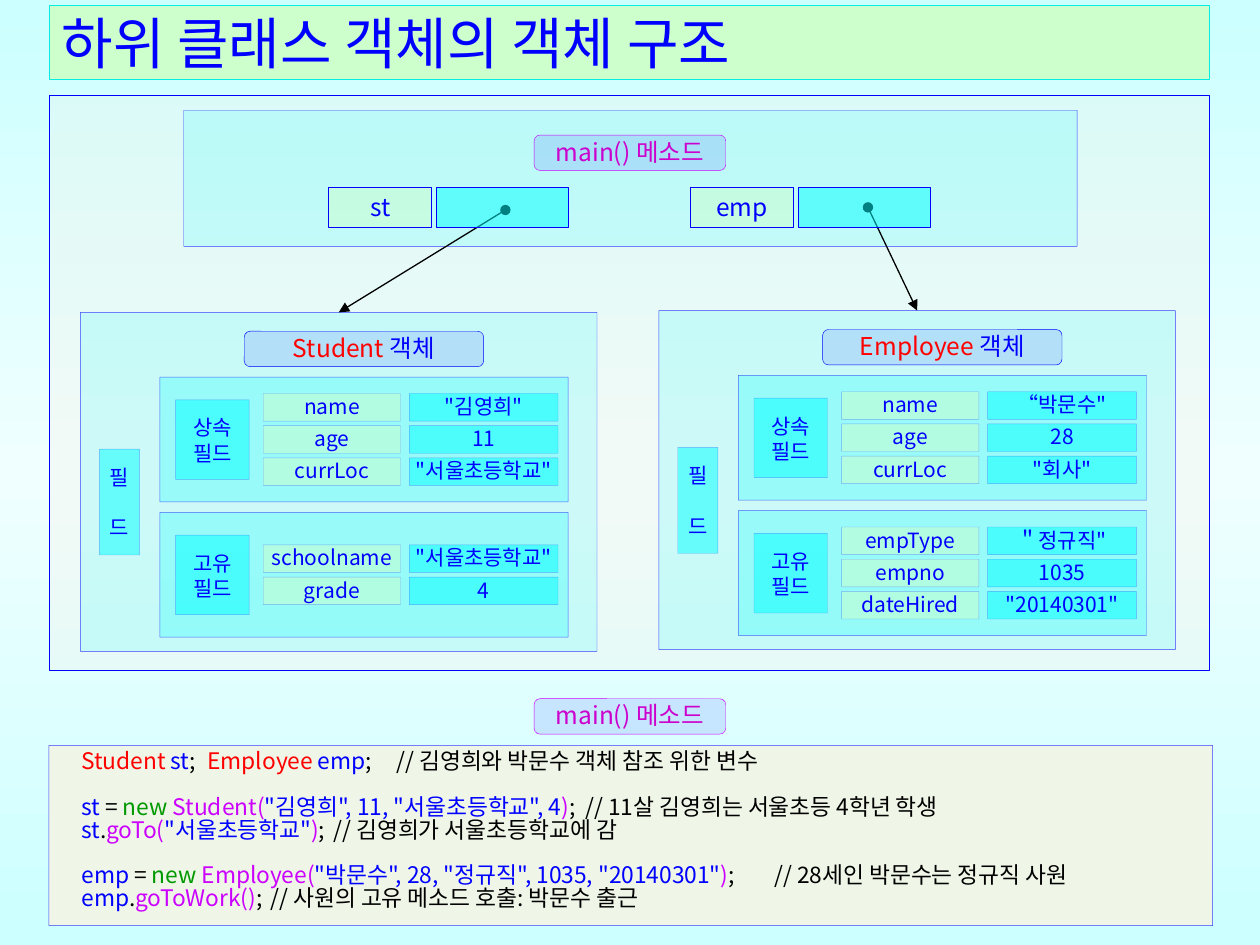
from copy import deepcopy

from lxml import etree
from pptx import Presentation
from pptx import util as u
from pptx.dml.color import RGBColor
from pptx.enum import shapes, text
from pptx.oxml.ns import qn

Pt = u.Pt
FONT = "Noto Sans CJK KR"
COLORS = {
    "blue": "0000FF", "red": "FF0000", "black": "000000", "green": "009900",
    "purple": "CC00FF", "magenta": "CC00CC", "cyan": "00FFFF", "mint": "CCFFCC",
    "peach": "FDEADA", "code": "EFF6E7", "aqua": "03EDE2",
    "sky": "CCFFFF", "pale": "F0FFFF",
}


def rgb(name):
    """Return the named colour."""
    return RGBColor.from_string(COLORS[name])


def set_opacity(parent, percent):
    """Make the solid colour under an element partly transparent."""
    color = parent.find(qn("a:solidFill"))[0]
    etree.SubElement(color, qn("a:alpha"), val=str(percent * 1000))


def style_paragraph(paragraph, size, color=None, align=text.PP_ALIGN.CENTER):
    """Set the font and alignment of a whole paragraph."""
    paragraph.alignment = align
    paragraph.font.size = Pt(size)
    paragraph.font.name = FONT
    if color:
        paragraph.font.color.rgb = rgb(color)
    defaults = paragraph._p.pPr.find(qn("a:defRPr"))
    defaults.find(qn("a:latin")).addnext(
        etree.Element(qn("a:ea"), typeface=FONT))


def add_runs(paragraph, runs):
    """Add coloured runs given as pairs of text and colour name."""
    for words, color in runs:
        run = paragraph.add_run()
        run.text = words
        run.font.color.rgb = rgb(color)


def add_box(slide, box, fill, opacity=100, line="blue", width=0.25,
            line_opacity=100, rounded=False):
    """Add a filled and outlined rectangle."""
    kind = shapes.MSO_SHAPE.ROUNDED_RECTANGLE if rounded else shapes.MSO_SHAPE.RECTANGLE
    shape = slide.shapes.add_shape(kind, *map(Pt, box))
    shape.shadow.inherit = False
    shape.fill.solid()
    shape.fill.fore_color.rgb = rgb(fill)
    set_opacity(shape._element.spPr, opacity)
    shape.line.color.rgb = rgb(line)
    shape.line.width = Pt(width)
    set_opacity(shape._element.spPr.find(qn("a:ln")), line_opacity)
    return shape


def set_frame(shape, left, top, right, bottom, wrap=False):
    """Set insets, top anchor and wrapping, and return the text frame."""
    frame = shape.text_frame
    frame.margin_left, frame.margin_top = Pt(left), Pt(top)
    frame.margin_right, frame.margin_bottom = Pt(right), Pt(bottom)
    frame.vertical_anchor = text.MSO_ANCHOR.TOP
    frame.word_wrap = wrap
    return frame


def add_cell(slide, box, lines, fill, top=0, size=12, gap=0, **style):
    """Add a half-transparent cell with centred lines of text."""
    style = {"line_opacity": 30, **style}
    shape = add_box(slide, box, fill, 50, **style)
    frame = set_frame(shape, 0, top, 0, 0)
    frame.text = "\n".join(lines)
    for index, paragraph in enumerate(frame.paragraphs):
        style_paragraph(paragraph, size, "blue")
        if index and gap:
            paragraph.space_before = Pt(gap)


def add_tag(slide, box, runs, line="blue"):
    """Add a rounded heading tag."""
    shape = add_box(slide, box, "blue", 10, line, rounded=True)
    paragraph = set_frame(shape, 7.2, 0, 7.2, 3.6).paragraphs[0]
    style_paragraph(paragraph, 14)
    add_runs(paragraph, runs)


def add_main_tag(slide, left, top):
    """Add the tag that names the main method."""
    add_tag(slide, (left, top, 109.5, 20.2), [("main() 메소드", "magenta")], "purple")


def add_field_group(slide, left, top, label, fields):
    """Add one group of fields with its rows centred in height."""
    height, row_height, pitch = 71.3, 15.8, 18.4
    add_box(slide, (left, top, 233.3, height), "cyan", 25, line_opacity=60)
    add_cell(slide, (left + 9, top + 13, 42, 45.5), (label, "필드"), "cyan", top=8.6)
    first = top + (height - row_height - pitch * (len(fields) - 1)) / 2
    for index, (key, value) in enumerate(fields):
        row = first + index * pitch
        add_cell(slide, (left + 59, row, 78.5, row_height), [key], "mint")
        add_cell(slide, (left + 142.5, row, 85, row_height), [value], "cyan")


def add_object(slide, left, top, name, inherited, own):
    """Add an object panel with inherited and own fields."""
    panel = add_box(slide, (left, top, 295.2, 193.7), "cyan", 15, line_opacity=75)
    add_field_group(slide, left + 45.4, top + 37, "상속", inherited)
    add_field_group(slide, left + 45.4, top + 114.3, "고유", own)
    add_tag(slide, (left + 93.6, top + 10.8, 136.8, 20.2),
            [(name + " ", "red"), ("객체", "blue")])
    add_cell(slide, (left + 10.8, top + 78.2, 23, 60.5), ("필", "드"), "cyan",
             top=8.6, gap=14.5)
    return panel


def add_reference(slide, start, panel):
    """Add an arrow from a variable to the top of an object panel."""
    arrow = slide.shapes.add_connector(
        shapes.MSO_CONNECTOR.STRAIGHT, *map(Pt, start), 0, 0)
    arrow.end_connect(panel, 0)
    arrow.line.color.rgb = rgb("black")
    arrow.line.width = Pt(0.75)
    line = arrow.line._get_or_add_ln()
    etree.SubElement(line, qn("a:headEnd"), type="oval")
    etree.SubElement(line, qn("a:tailEnd"), type="triangle")
    etree.SubElement(arrow._element.spPr, qn("a:effectLst"))


def add_main_method(slide, left, top, variables):
    """Add the main panel and its variables, each pointing at an object."""
    add_box(slide, (left, top, 510.5, 77.8), "cyan", 15, line_opacity=75)
    add_main_tag(slide, left + 200.2, top + 14.2)
    row = top + 44
    for name, offset, start, panel in variables:
        add_reference(slide, (left + offset + start[0], row + start[1]), panel)
        for x, width, words, fill in ((0, 59, name, "mint"), (61.5, 75.6, "", "cyan")):
            add_cell(slide, (left + offset + x, row, width, 23), [words], fill,
                     top=2.9, size=14, width=0.5, line_opacity=100)


def add_code(slide, box, lines):
    """Add the code panel, with tab stops ahead of the comments."""
    shape = add_box(slide, box, "code", line_opacity=75)
    frame = set_frame(shape, 7.2, 3.6, 7.2, 3.6, wrap=True)
    for index, (tabs, space, runs) in enumerate(lines):
        paragraph = frame.add_paragraph() if index else frame.paragraphs[0]
        properties = paragraph._p.get_or_add_pPr()
        properties.set("marL", str(Pt(11.5)))
        properties.set("indent", "0")
        stops = etree.SubElement(properties, qn("a:tabLst"))
        for position in tabs:
            etree.SubElement(stops, qn("a:tab"), pos=str(Pt(position)), algn="l")
        paragraph.line_spacing = Pt(13)
        if space:
            paragraph.space_before = Pt(space)
        style_paragraph(paragraph, 13, align=text.PP_ALIGN.LEFT)
        add_runs(paragraph, runs)


def add_title(slide, box, words):
    """Place and format the title placeholder."""
    title = slide.shapes.title
    title.left, title.top, title.width, title.height = map(Pt, box)
    title.fill.solid()
    title.fill.fore_color.rgb = rgb("mint")
    title.line.color.rgb = rgb("aqua")
    title.line.width = Pt(0.25)
    frame = set_frame(title, 7.2, 3.6, 7.2, 3.6, wrap=True)
    frame.vertical_anchor = text.MSO_ANCHOR.MIDDLE
    frame.auto_size = text.MSO_AUTO_SIZE.NONE
    frame.text = words
    style_paragraph(frame.paragraphs[0], 32, "blue", text.PP_ALIGN.LEFT)


def set_background(slide):
    """Give the slide a vertical gradient that is palest in the middle."""
    fill = slide.background.fill
    fill.gradient()
    fill.gradient_angle = 270
    stop_list = next(slide._element.iter(qn("a:gsLst")))
    stop_list.insert(1, deepcopy(stop_list[0]))
    for stop, position, color in zip(fill.gradient_stops, (0, 0.5, 1), ("sky", "pale", "sky")):
        stop.position = position
        stop.color.rgb = rgb(color)


def main():
    """Build the slide and save it."""
    presentation = Presentation()
    presentation.slide_width, presentation.slide_height = Pt(720), Pt(540)
    slide = presentation.slides.add_slide(presentation.slide_layouts[5])
    set_background(slide)
    add_title(slide, (28, 3, 663, 42.5), "하위 클래스 객체의 객체 구조")
    add_box(slide, (28, 54.7, 663, 328.3), "peach", 20)
    student = add_object(
        slide, 46, 178.5, "Student",
        [("name", '"김영희"'), ("age", "11"), ("currLoc", '"서울초등학교"')],
        [("schoolname", '"서울초등학교"'), ("grade", "4")])
    employee = add_object(
        slide, 376.5, 177.5, "Employee",
        [("name", '“박문수"'), ("age", "28"), ("currLoc", '"회사"')],
        [("empType", '＂정규직"'), ("empno", "1035"), ("dateHired", '"20140301"')])
    add_main_method(slide, 105, 63, [("st", 82.8, (101, 13), student),
                                     ("emp", 289.5, (101.5, 11.5), employee)])
    add_main_tag(slide, 305.2, 399.3)
    add_code(slide, (28, 426, 665, 103), [
        ((91, 339), 0, [
            ("Student ", "red"), ("st", "blue"), (";\t", "black"), ("Employee ", "red"),
            ("emp", "blue"), (";\t// 김영희와 박문수 객체 참조 위한 변수", "black")]),
        ((379,), 13, [
            ("st ", "blue"), ("= ", "black"), ("new ", "green"), ("Student(", "purple"),
            ('"김영희", 11, "서울초등학교", 4', "blue"), (")", "purple"),
            (";\t// 11살 김영희는 서울초등 4학년 학생", "black")]),
        ((340,), 0, [
            ("st", "blue"), (".", "black"), ("goTo(", "purple"), ('"서울초등학교"', "blue"),
            (")", "purple"), (";\t// 김영희가 서울초등학교에 감", "black")]),
        ((405,), 13, [
            ("emp ", "blue"), ("=", "black"), (" new ", "green"), ("Employee(", "purple"),
            ('"박문수", 28, "정규직", 1035, "20140301"', "blue"), (")", "purple"),
            (";\t// 28세인 박문수는 정규직 사원", "black")]),
        ((323.5,), 0, [
            ("emp", "blue"), (".", "black"), ("goToWork()", "purple"),
            (";\t// 사원의 고유 메소드 호출: 박문수 출근", "black")]),
    ])
    presentation.save("out.pptx")


if __name__ == "__main__":
    main()
